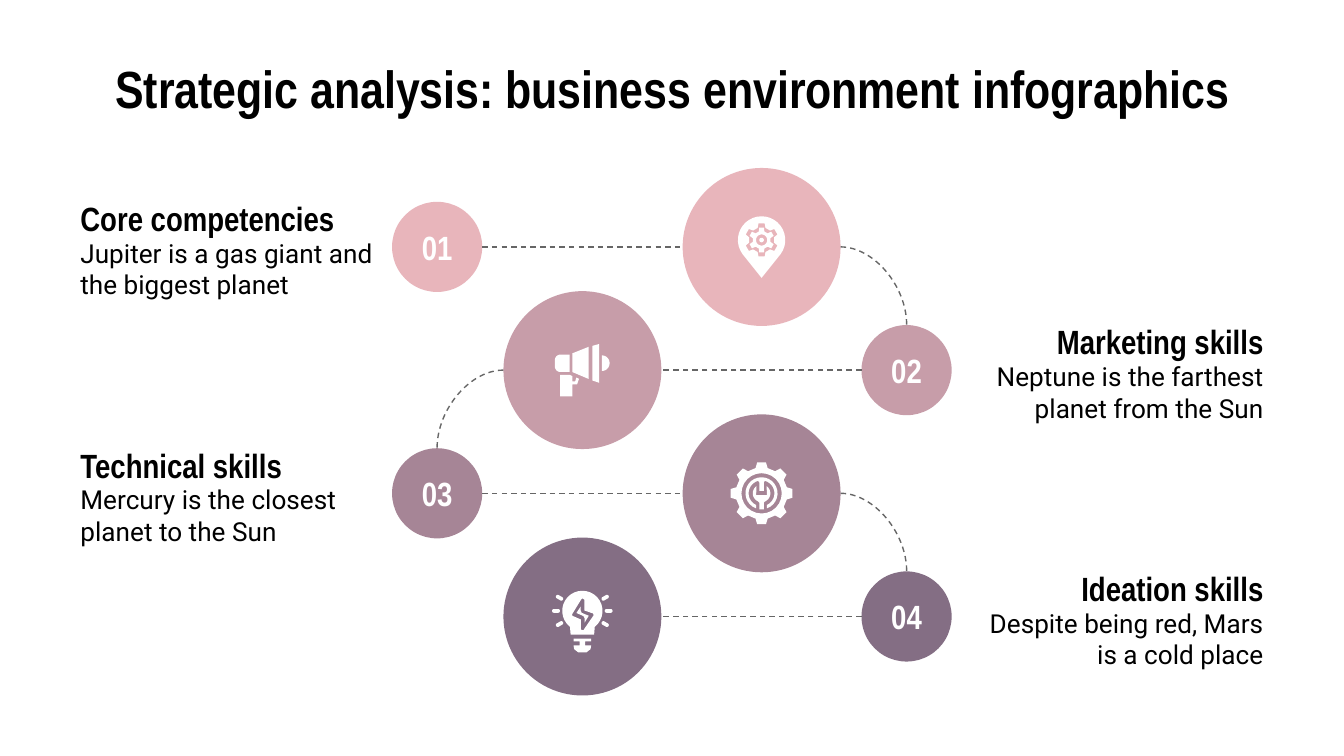
"""Build a slide of four linked business skills."""
from math import cos, radians, sin

from lxml.etree import SubElement
from pptx import Presentation
from pptx.dml.color import RGBColor
from pptx.enum.dml import MSO_LINE
from pptx.enum.shapes import MSO_CONNECTOR, MSO_SHAPE
from pptx.enum.text import MSO_ANCHOR, PP_ALIGN
from pptx.oxml.ns import qn
from pptx.util import Pt

COLORS = {
    "rose": "E8B5BB", "pink": "C79DA9", "mauve": "A68596", "plum": "846E84",
    "ink": "000000", "white": "FFFFFF", "line": "666666",
}
HEAD, BODY = "Arial Narrow", "Roboto"
SMALL, BIG = 24.15, 42.3
TOP, STEP = 132.3, 66
SKILLS = [
    ("Core competencies", "Jupiter is a gas giant and the biggest planet", "rose"),
    ("Marketing skills", "Neptune is the farthest planet from the Sun", "pink"),
    ("Technical skills", "Mercury is the closest planet to the Sun", "mauve"),
    ("Ideation skills", "Despite being red, Mars is a cold place", "plum"),
]


def color(name):
    return RGBColor.from_string(COLORS[name])


def write(shape, text, font, size, tint, align, bold=False):
    frame = shape.text_frame
    frame.word_wrap = True
    frame.vertical_anchor = MSO_ANCHOR.MIDDLE
    frame.margin_left = frame.margin_right = Pt(7.2)
    frame.margin_top = frame.margin_bottom = Pt(7.2)
    para = frame.paragraphs[0]
    para.text = text
    para.alignment = align
    para.font.name, para.font.size, para.font.bold = font, Pt(size), bold
    para.font.color.rgb = color(tint)


def add_text(slide, box, text, font, size, align, bold=False):
    shape = slide.shapes.add_textbox(*map(Pt, box))
    write(shape, text, font, size, "ink", align, bold)


def paint(shape, tint):
    shape.shadow.inherit = False
    shape.fill.solid()
    shape.fill.fore_color.rgb = color(tint)
    shape.line.fill.background()


def add_disc(slide, x, y, r, tint):
    disc = slide.shapes.add_shape(
        MSO_SHAPE.OVAL, Pt(x - r), Pt(y - r), Pt(2 * r), Pt(2 * r))
    paint(disc, tint)
    return disc


def add_link(slide, start, end, curved=False):
    kind = MSO_CONNECTOR.CURVE if curved else MSO_CONNECTOR.STRAIGHT
    link = slide.shapes.add_connector(kind, *map(Pt, start + end))
    link.line.color.rgb = color("line")
    link.line.width = Pt(0.75)
    link.line.dash_style = MSO_LINE.DASH
    props = link._element.spPr
    if curved:
        props.find(qn("a:prstGeom")).set("prst", "curvedConnector2")
    SubElement(props, qn("a:effectLst"))


def polar(x, y, r, angle):
    return x + r * cos(radians(angle)), y + r * sin(radians(angle))


def arc(x, y, r, start, end, steps=24):
    return [polar(x, y, r, start + (end - start) * i / steps)
            for i in range(steps + 1)]


def gear(x, y, tip, root, teeth):
    step = 360 / teeth
    marks = [(root, -0.3), (tip, -0.18), (tip, 0.18), (root, 0.3)]
    return [polar(x, y, r, (i + part) * step - 90)
            for i in range(teeth) for r, part in marks]


def ray(angle):
    near, far = polar(0, -3, 13, angle), polar(0, -3, 15.2, angle)
    return (arc(*near, 1, angle + 90, angle + 270)
            + arc(*far, 1, angle - 90, angle + 90))


def mirror(side):
    return side + [(-x, y) for x, y in reversed(side)]


def pin():
    y = -3.7
    return [
        [arc(0, y, 12.7, 144, 396) + [(0, 16.6)], gear(0, y, 9, 6.8, 6)],
        [gear(0, y, 6.8, 4.8, 6), arc(0, y, 3, 0, 360)],
        [arc(0, y, 1.2, 0, 360)],
    ]


def horn():
    grip = [(-11.9, 2.5), (-11.9, 14), (-5.4, 14), (-5.4, 7.6), (-2.8, 7.6),
            (-1.8, 4.7), (-3.2, 4), (-3.8, 6), (-5.4, 6), (-5.4, 3.2), (-6.8, 2.5)]
    rim = [(9, -14), (5.4, -13), (5.4, 5.6), (9, 6.8)]
    cone = [(3.4, -12.5), (-5.4, -9), (-5.4, 1), (3.4, 4.7)]
    back = (arc(-11.8, -5.4, 2.9, 270, 180) + arc(-11.8, -1.9, 2.9, 180, 90)
            + [(-6.8, 1), (-6.8, -8.3)])
    return [[grip], [rim], [cone], [back], [arc(10.4, -3.7, 4.2, -90, 90)]]


def cog():
    wrench = (arc(0, 0, 4.7, 235, 115) + [(-1.2, 5), (-1.2, 8.6), (1.2, 8.6), (1.2, 5)]
              + arc(0, 0, 4.7, 65, -55) + [(2.9, 1), (-2.9, 1)])
    prong = [(1.2, -5.8), (1.2, -1.3), (-1.2, -1.3), (-1.2, -5.8)]
    ring = (arc(0, 0, 8.6, 110, 430) + arc(0, 0, 6.9, 65, -75) + prong
            + arc(0, 0, 6.9, 255, 115))
    return [[wrench], [ring], [gear(0, 0, 16.7, 13.9, 8), arc(0, 0, 10.8, 0, 360)]]


def bulb():
    glass = arc(0, -3, 10.8, 128, 412) + [(6.3, 9.7), (-6.3, 9.7)]
    hole = [(0, -9.7), (1.1, -9), (1.1, -3.2), (5.8, -1.6), (6, -0.6), (0.5, 7.4),
            (-0.8, 7), (-0.8, 1.6), (-5.4, -0.4), (-5.5, -1.2), (-0.7, -9)]
    bolt = [(-0.9, -5.4), (-3.2, -1.9), (0.6, -0.2), (1.2, 1), (1.2, 3.2),
            (3.4, -0.4), (-0.4, -2), (-0.9, -3.2)]
    base = mirror([(-4.7, 11.9), (-4.7, 13.4), (-1.5, 13.4), (-1.5, 15.5),
                   (-4.7, 15.5), (-4.4, 17.5), (-2.2, 19.2)])
    rays = [[ray(angle)] for angle in (-30, 0, 30, 150, 180, 210)]
    return rays + [[bolt], [base], [glass, hole]]


def add_icon(slide, x, y, parts):
    group = slide.shapes.add_group_shape()
    for part in parts:
        loops = [[(Pt(x + u), Pt(y + v)) for u, v in loop] for loop in part]
        pen = group.shapes.build_freeform(*loops[0][0])
        pen.add_line_segments(loops[0][1:], close=True)
        for loop in loops[1:]:
            pen.move_to(*loop[0])
            pen.add_line_segments(loop[1:], close=True)
        paint(pen.convert_to_shape(), "white")


def add_skill(slide, row, skill, icon):
    head, body, tint = skill
    y = TOP + row * STEP
    left = row % 2 == 0
    side = 1 if left else -1
    near, far = (234.2, 408) if left else (485.7, 312)
    edge, align = (36, PP_ALIGN.LEFT) if left else (510, PP_ALIGN.RIGHT)
    add_text(slide, (edge, y - 26.3, 174, 22), head, HEAD, 18, align, True)
    add_text(slide, (edge, y - 4.3, 174, 32), body, BODY, 14, align)
    disc = add_disc(slide, near, y, SMALL, tint)
    write(disc, f"{row + 1:02}", HEAD, 18, "white", PP_ALIGN.CENTER, True)
    add_disc(slide, far, y, BIG, tint)
    add_link(slide, (near + side * SMALL, y), (far - side * BIG, y))
    if row < len(SKILLS) - 1:
        goal = 485.7 if left else 234.2
        add_link(slide, (far + side * BIG, y), (goal, y + STEP - SMALL), True)
    add_icon(slide, far, y, icon)


def main():
    deck = Presentation()
    deck.slide_width, deck.slide_height = Pt(720), Pt(405)
    slide = deck.slides.add_slide(deck.slide_layouts[6])
    add_text(slide, (36, 32.4, 648, 29.5),
             "Strategic analysis: business environment infographics",
             HEAD, 28, PP_ALIGN.CENTER, True)
    icons = [pin(), horn(), cog(), bulb()]
    for row, (skill, icon) in enumerate(zip(SKILLS, icons)):
        add_skill(slide, row, skill, icon)
    deck.save("out.pptx")


if __name__ == "__main__":
    main()
